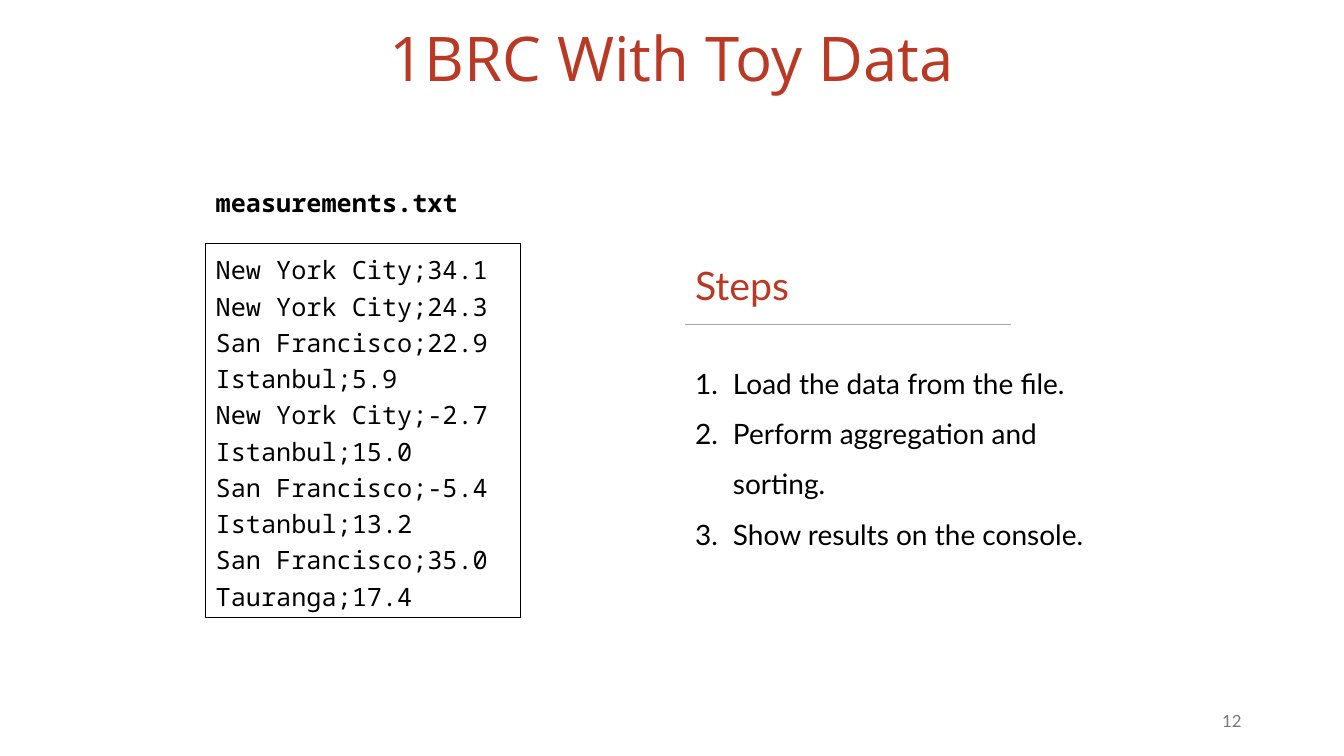
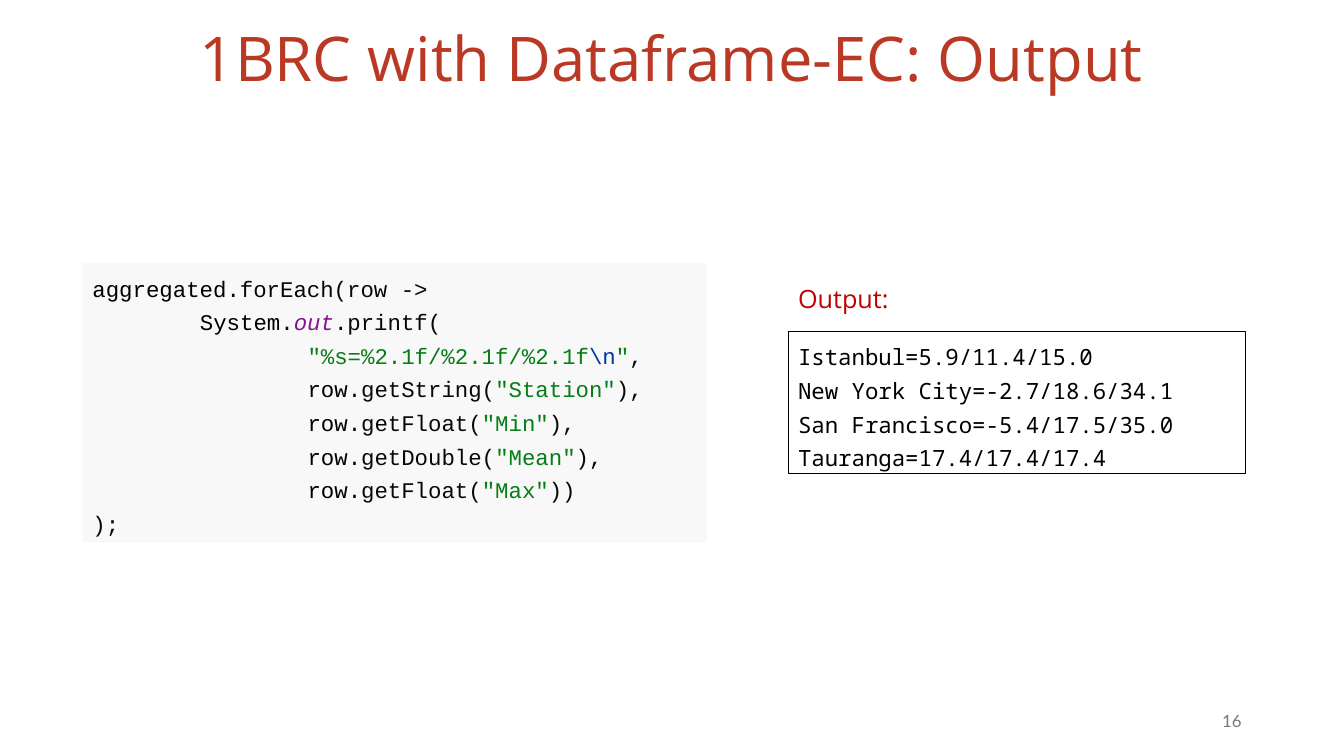
from dataclasses import dataclass
from typing import Optional

from pptx import Presentation
from pptx.dml.color import RGBColor
from pptx.enum.shapes import MSO_CONNECTOR as Connector, MSO_SHAPE as Shape
from pptx.enum.text import MSO_ANCHOR as Anchor, PP_ALIGN as Align
from pptx.oxml.ns import qn
from pptx.util import Pt
from lxml.etree import SubElement

# Shared style
RED, BLACK, GREY, WHITE = "BA3925", "000000", "797979", "FFFFFF"
INK, STRING, ESCAPE, FIELD = "080808", "067D17", "0037A6", "871094"
SANS, BODY, MONO, CODE = "Open Sans", "Lato", "Noto Sans Mono", "Courier New"


@dataclass
class Font:
    name: str
    size: float
    color: str = BLACK
    bold: bool = False


@dataclass
class Run:
    text: str
    color: Optional[str] = None
    italic: bool = False


@dataclass
class Line:
    runs: list[Run]
    left: float = 0
    hanging: float = 0


@dataclass
class Box:
    left: float
    top: float
    width: float
    height: float
    font: Font
    lines: list[Line]
    spacing: float = 1.0
    align: Align = Align.LEFT
    anchor: Anchor = Anchor.TOP
    fill: Optional[str] = None
    border: Optional[str] = None
    numbered: bool = False


def rgb(value: str) -> RGBColor:
    return RGBColor.from_string(value)


def plain(*texts: str, hanging: float = 0) -> list[Line]:
    return [Line([Run(t)], hanging, hanging) for t in texts]


def add_line(p, line: Line, box: Box) -> None:
    p.alignment, p.line_spacing = box.align, box.spacing
    pPr = p._p.get_or_add_pPr()
    pPr.set("marL", str(Pt(line.left)))
    pPr.set("indent", str(-Pt(line.hanging)))
    if box.numbered:
        SubElement(pPr, qn("a:buAutoNum"), type="arabicPeriod")
    for run in line.runs:
        r = p.add_run()
        r.text = run.text
        r.font.name, r.font.size = box.font.name, Pt(box.font.size)
        r.font.bold, r.font.italic = box.font.bold, run.italic
        r.font.color.rgb = rgb(run.color or box.font.color)


def add_box(s, box: Box) -> None:
    frame = Pt(box.left), Pt(box.top), Pt(box.width), Pt(box.height)
    if box.fill:
        sp = s.shapes.add_shape(Shape.RECTANGLE, *frame)
        sp.shadow.inherit = False
        sp.fill.solid()
        sp.fill.fore_color.rgb = rgb(box.fill)
        if box.border:
            sp.line.color.rgb = rgb(box.border)
            sp.line.width = Pt(0.75)
        else:
            sp.line.fill.background()
    else:
        sp = s.shapes.add_textbox(*frame)
    tf = sp.text_frame
    tf.word_wrap, tf.vertical_anchor = True, box.anchor
    for i, line in enumerate(box.lines):
        add_line(tf.add_paragraph() if i else tf.paragraphs[0], line, box)


def add_rule(s, left: float, top: float, width: float, color: str) -> None:
    rule = s.shapes.add_connector(
        Connector.STRAIGHT, Pt(left), Pt(top), Pt(left + width), Pt(top))
    rule.line.color.rgb = rgb(color)
    rule.line.width = Pt(1)
    SubElement(rule._element.spPr, qn("a:effectLst"))


def add_slide(prs, title: str, number: int, boxes: list[Box]):
    s = prs.slides.add_slide(prs.slide_layouts[6])
    heading = Box(66, 13.5, 828, 61, Font(SANS, 44, RED), plain(title), 0.9,
                  Align.CENTER, Anchor.MIDDLE)
    footer = Box(678, 500.5, 216, 28.75, Font(BODY, 12, GREY),
                 plain(str(number)), align=Align.RIGHT, anchor=Anchor.MIDDLE)
    for box in [heading, footer, *boxes]:
        add_box(s, box)
    return s


# Toy data and the steps
MEASUREMENTS = plain(
    "New York City;34.1", "New York City;24.3", "San Francisco;22.9",
    "Istanbul;5.9", "New York City;-2.7", "Istanbul;15.0",
    "San Francisco;-5.4", "Istanbul;13.2", "San Francisco;35.0",
    "Tauranga;17.4")
STEPS = plain("Load the data from the file.",
              "Perform aggregation and sorting.",
              "Show results on the console.", hanging=27)

# Code listing: one tab stop is eight characters wide
TAB = 8 * 9.6


def getter(method: str, column: str, end: str) -> Line:
    return Line([Run("row"), Run(f".{method}(", INK),
                 Run(f'"{column}"', STRING), Run(end, INK)], 2 * TAB)


LISTING = [
    Line([Run("aggregated"), Run(".forEach(row ->", INK)]),
    Line([Run("System"), Run(".", INK), Run("out", FIELD, True),
          Run(".printf(", INK)], TAB),
    Line([Run('"%s=%2.1f/%2.1f/%2.1f', STRING), Run(r"\n", ESCAPE),
          Run('"', STRING), Run(",", INK)], 2 * TAB),
    getter("getString", "Station", "),"),
    getter("getFloat", "Min", "),"),
    getter("getDouble", "Mean", "),"),
    getter("getFloat", "Max", "))"),
    Line([Run(");", INK)]),
]
RESULTS = plain("Istanbul=5.9/11.4/15.0", "New York City=-2.7/18.6/34.1",
                "San Francisco=-5.4/17.5/35.0", "Tauranga=17.4/17.4/17.4")


def main() -> None:
    prs = Presentation()
    prs.slide_width, prs.slide_height = Pt(960), Pt(540)

    s = add_slide(prs, "1BRC With Toy Data", 12, [
        Box(147, 174, 225, 267, Font(MONO, 18), MEASUREMENTS, 1.2,
            fill=WHITE, border=BLACK),
        Box(147, 130.5, 245, 29, Font(MONO, 18, bold=True),
            plain("measurements.txt")),
        Box(489.5, 183, 405, 41, Font(BODY, 28, RED), plain("Steps")),
        Box(489.5, 246, 302, 145, Font(BODY, 20), STEPS, 1.5, numbered=True),
    ])
    add_rule(s, 489.5, 231.75, 233, "A6A6A6")

    add_slide(prs, "1BRC with Dataframe-EC: Output", 16, [
        Box(59, 188, 446, 199.5, Font(CODE, 16), LISTING, 1.25,
            fill="F8F8F8"),
        Box(563, 199, 245, 29, Font(SANS, 18, "C00000"), plain("Output:")),
        Box(563, 237, 327, 101.5, Font(MONO, 16), RESULTS, 1.25,
            fill=WHITE, border=BLACK),
    ])
    prs.save("out.pptx")


if __name__ == "__main__":
    main()
